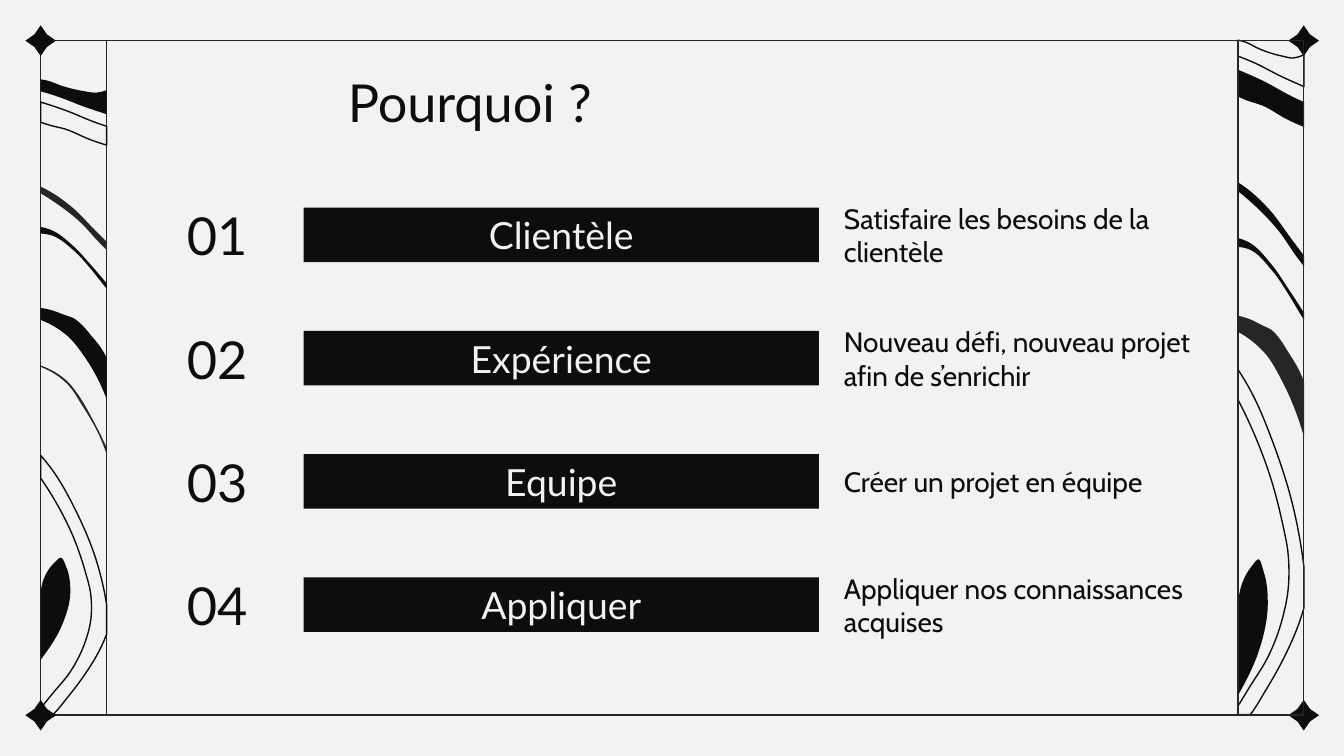
import math

import pptx
import pptx.util
import pptx.dml.color
import pptx.enum.shapes
import pptx.enum.text
import pptx.oxml.ns
import lxml.etree

Cm = pptx.util.Cm
SHAPES = pptx.enum.shapes.MSO_SHAPE
ANCHOR = pptx.enum.text.MSO_ANCHOR
ALIGN = pptx.enum.text.PP_ALIGN
qn = pptx.oxml.ns.qn

INK = pptx.dml.color.RGBColor(0x0D, 0x0D, 0x0D)
GREY = pptx.dml.color.RGBColor(0x26, 0x26, 0x26)
PAPER = pptx.dml.color.RGBColor(0xF2, 0xF2, 0xF2)

TITLE = "Pourquoi ?"
ROWS = [
    ("01", "Clientèle", "Satisfaire les besoins de la clientèle"),
    ("02", "Expérience", "Nouveau défi, nouveau projet afin de s’enrichir"),
    ("03", "Equipe", "Créer un projet en équipe"),
    ("04", "Appliquer", "Appliquer nos connaissances acquises"),
]
FIRST_ROW_MIDDLE, ROW_STEP = 4.44, 2.33

NUMBER = dict(left=2.67, width=2.87, height=1.47, size=28, font="Lato", color=INK,
              align=ALIGN.CENTER)
BAR = dict(left=5.74, width=9.74, height=1.03, size=20, font="Lato", color=PAPER,
           align=ALIGN.CENTER)
DETAIL = dict(left=15.7, width=7.7, height=1.93, size=15, font="Cabin", color=INK,
              align=ALIGN.LEFT)

FRAME_LEFT, FRAME_TOP, FRAME_WIDTH, FRAME_HEIGHT = 0.77, 0.77, 23.87, 12.75
STRIP_WIDTH, STAR_SIZE = 1.24, 0.58
RIGHT_STRIP = FRAME_LEFT + FRAME_WIDTH - STRIP_WIDTH

MARBLE_UNIT = 0.0254
MARBLE = {
    "crest": [[(0, 0), (5, 1), (16, 5), (33, 9), (41, 10), (49, 8)],
              [(49, 26), (34, 21), (10, 12), (0, 9)]],
    "band": [[(0, 0), (18, 6), (43, 16), (49, 18)],
             [(49, 32), (37, 28), (18, 20), (6, 17), (0, 15)]],
    "streak": [[(0, 0), (4, 2), (23, 15), (40, 32), (49, 41)],
               [(49, 47), (43, 41), (30, 27), (11, 12), (0, 5)]],
    "thread": [[(0, 0), (7, 2), (25, 15), (37, 28), (49, 42)],
               [(49, 46), (45, 41), (37, 31), (25, 18), (7, 6), (0, 5)]],
    "hair": [[(0, 0), (20, 12), (30, 25), (38, 39), (49, 61)],
             [(49, 66), (43, 51), (31, 30), (20, 14), (0, 1)]],
    "swell": [[(0, 0), (9, 2), (17, 5), (25, 8), (31, 13), (37, 20), (45, 30), (49, 37)],
              [(49, 68), (43, 54), (33, 37), (20, 21), (0, 9)]],
    "loop": [[(0, 0), (8, 10), (27, 43), (41, 77), (47, 100), (49, 111)],
             [(49, 133), (47, 138), (30, 167), (20, 180), (10, 192), (9, 193)],
             [(0, 193)],
             [(0, 188), (9, 177), (22, 161), (33, 139), (37, 124), (37, 102), (33, 86),
              (26, 65), (12, 36), (0, 17)]],
    "leaf": [[(0, 25), (10, 4), (15, 0), (19, 7), (22, 26), (16, 50), (3, 72), (0, 76)]],
}
LEFT_MARBLE = [
    ("crest", 1.5, INK, None), ("band", 1.93, PAPER, INK), ("streak", 3.53, GREY, None),
    ("thread", 4.29, INK, None), ("hair", 6.91, GREY, None), ("swell", 5.82, INK, None),
    ("loop", 8.61, PAPER, INK), ("leaf", 10.54, INK, None),
]
RIGHT_MARBLE = [
    ("crest", 0.76, PAPER, INK), ("band", 1.32, INK, None), ("streak", 3.45, INK, None),
    ("thread", 4.5, INK, None), ("swell", 5.97, GREY, None), ("loop", 6.99, PAPER, INK),
    ("leaf", 10.57, INK, None),
]


def paint(shape, fill=None, line=None):
    shape.shadow.inherit = False
    for part, color in ((shape.fill, fill), (shape.line.fill, line)):
        if color is None:
            part.background()
        else:
            part.solid()
            part.fore_color.rgb = color
    if line is not None:
        shape.line.width = pptx.util.Pt(0.75)


def add_preset(page, kind, left, top, width, height, **colors):
    shape = page.shapes.add_shape(kind, Cm(left), Cm(top), Cm(width), Cm(height))
    paint(shape, **colors)
    return shape


def handles(points):
    gaps = [math.dist(a, b) for a, b in zip(points, points[1:])]
    slopes = [[(end - start) / gap for start, end in zip(a, b)]
              for a, b, gap in zip(points, points[1:], gaps)]
    inner = [[(s * after + t * before) / (before + after) for s, t in zip(slope, following)]
             for slope, following, before, after in zip(slopes, slopes[1:], gaps, gaps[1:])]
    if not inner:
        return []
    first = [2 * s - t for s, t in zip(slopes[0], inner[0])]
    last = [2 * s - t for s, t in zip(slopes[-1], inner[-1])]
    tangents = [first, *inner, last]
    return [([p + t * gap / 3 for p, t in zip(a, leave)],
             [p - t * gap / 3 for p, t in zip(b, arrive)])
            for a, b, leave, arrive, gap in zip(points, points[1:], tangents, tangents[1:], gaps)]


def bend(shape, edges):
    controls = [pair for edge in edges for pair in [None, *handles(edge)]][1:]
    for segment, pair in zip(list(shape.element.iter(qn("a:lnTo"))), controls):
        if pair:
            segment.tag = qn("a:cubicBezTo")
            for index, (x, y) in enumerate(pair):
                point = lxml.etree.Element(qn("a:pt"), x=str(round(x - shape.left)),
                                           y=str(round(y - shape.top)))
                segment.insert(index, point)


def add_marble(page, veins, left, stretch):
    for name, top, fill, line in veins:
        edges = [[(Cm(left + x * MARBLE_UNIT), Cm(top + y * MARBLE_UNIT * stretch))
                  for x, y in edge] for edge in MARBLE[name]]
        start, *others = sum(edges, [])
        builder = page.shapes.build_freeform(*start)
        builder.add_line_segments(others, close=True)
        vein = builder.convert_to_shape()
        bend(vein, edges)
        paint(vein, fill, line)


def add_strip(page, left):
    add_preset(page, SHAPES.RECTANGLE, left, FRAME_TOP, STRIP_WIDTH, FRAME_HEIGHT, line=GREY)


def write(box, text, style, anchor=ANCHOR.MIDDLE):
    frame = box.text_frame
    margins = {f"margin_{side}": Cm(0.25) for side in ("left", "top", "right", "bottom")}
    settings = dict(margins, word_wrap=True, vertical_anchor=anchor,
                    auto_size=pptx.enum.text.MSO_AUTO_SIZE.NONE)
    for name, value in settings.items():
        setattr(frame, name, value)
    para = frame.paragraphs[0]
    para.alignment = style["align"]
    span = para.add_run()
    span.text = text
    for name, value in dict(name=style["font"], size=pptx.util.Pt(style["size"])).items():
        setattr(span.font, name, value)
    span.font.color.rgb = style["color"]


def add_row(page, middle, row):
    for text, style in zip(row, (NUMBER, BAR, DETAIL)):
        place = (style["left"], middle - style["height"] / 2, style["width"], style["height"])
        if style is BAR:
            box = add_preset(page, SHAPES.RECTANGLE, *place, fill=INK)
        else:
            box = page.shapes.add_textbox(*map(Cm, place))
        write(box, text, style)


def main():
    deck = pptx.Presentation()
    deck.slide_width, deck.slide_height = Cm(25.4), Cm(14.29)
    page = deck.slides.add_slide(deck.slide_layouts[5])
    page.background.fill.solid()
    page.background.fill.fore_color.rgb = PAPER

    title = page.shapes.title
    for name, value in dict(left=2.67, top=1.07, width=8.76, height=1.65).items():
        setattr(title, name, Cm(value))
    write(title, TITLE, dict(NUMBER, align=ALIGN.RIGHT), ANCHOR.TOP)

    add_preset(page, SHAPES.RECTANGLE, FRAME_LEFT, FRAME_TOP, FRAME_WIDTH, FRAME_HEIGHT,
               line=GREY)
    add_strip(page, FRAME_LEFT)
    add_marble(page, LEFT_MARBLE, FRAME_LEFT, 1)
    for x in (FRAME_LEFT, FRAME_LEFT + FRAME_WIDTH):
        for y in (FRAME_TOP, FRAME_TOP + FRAME_HEIGHT):
            star = add_preset(page, SHAPES.STAR_4_POINT, x - STAR_SIZE / 2, y - STAR_SIZE / 2,
                              STAR_SIZE, STAR_SIZE, fill=INK)
            star.adjustments[0] = 0.29
    for index, row in enumerate(ROWS):
        add_row(page, FIRST_ROW_MIDDLE + index * ROW_STEP, row)
    add_marble(page, RIGHT_MARBLE, RIGHT_STRIP, 1.33)
    add_strip(page, RIGHT_STRIP)

    deck.save("out.pptx")


if __name__ == "__main__":
    main()
